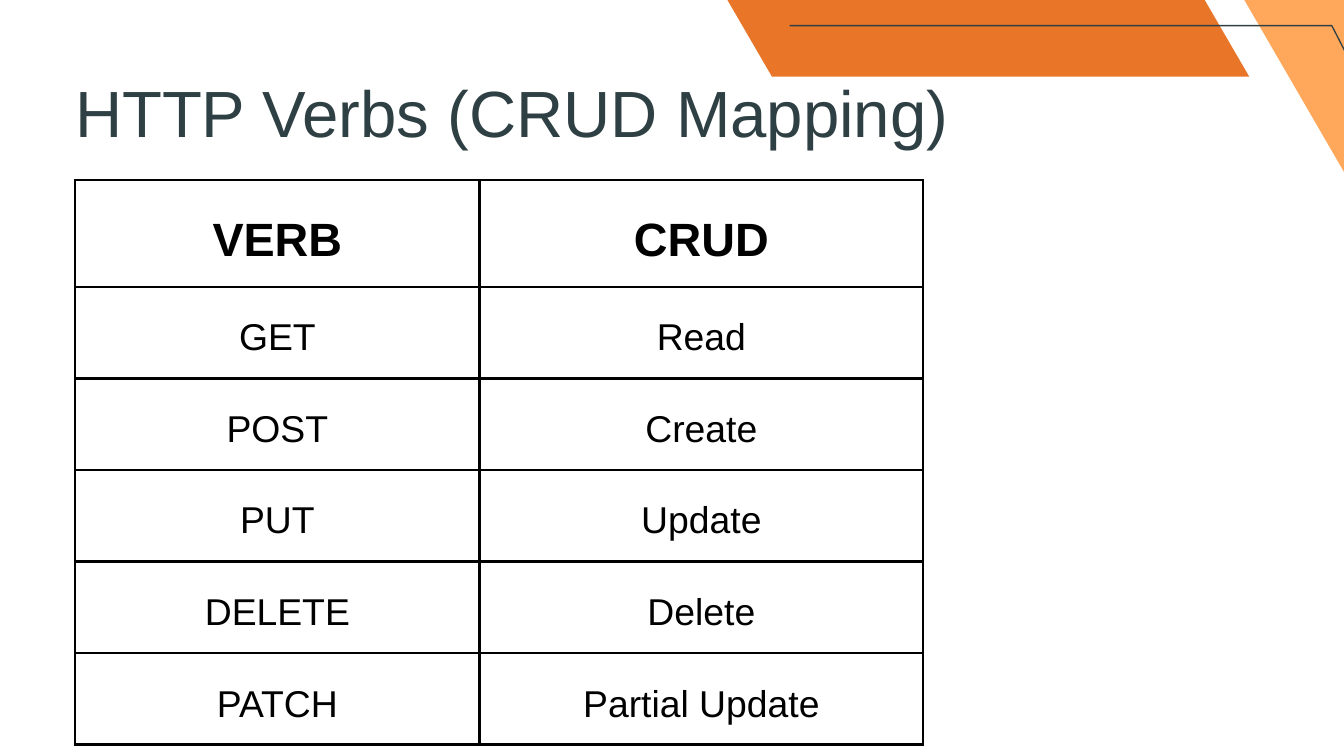
from pptx import Presentation
from pptx.dml.color import RGBColor
from pptx.enum.text import MSO_ANCHOR, MSO_AUTO_SIZE, PP_ALIGN
from pptx.oxml import parse_xml
from pptx.oxml.ns import nsdecls
from pptx.util import Cm, Pt

ORANGE = RGBColor(0xE9, 0x75, 0x29)
LIGHT_ORANGE = RGBColor(0xFF, 0xA8, 0x5C)
SLATE = RGBColor(0x2F, 0x40, 0x44)
BLACK = RGBColor(0, 0, 0)

TITLE = "HTTP Verbs (CRUD Mapping)"
VERBS = [
    ("VERB", "CRUD"),
    ("GET", "Read"),
    ("POST", "Create"),
    ("PUT", "Update"),
    ("DELETE", "Delete"),
    ("PATCH", "Partial Update"),
]

# Corner decoration, in centimetres; it bleeds over the slide's edges
BANDS = [
    (ORANGE, [(26.92, -0.99), (44.96, -0.99), (47.22, 2.9), (29.18, 2.9)]),
    (LIGHT_ORANGE, [(46.46, -0.99), (50.98, -0.99), (55.47, 6.81), (50.98, 6.81)]),
]
ACCENT_LINE = [(29.85, 0.97), (50.34, 0.97), (54.53, 9.13)]

LEFT = Cm(2.84)
TABLE_TOP = Cm(6.81)
COLUMN_WIDTHS = [Cm(15.29), Cm(16.76)]
HEADER_HEIGHT, ROW_HEIGHT = Cm(4.04), Cm(3.46)
CELL_MARGIN = Cm(0.53)

HEADER_FONT = {"name": "Arial", "size": Pt(50), "bold": True}
BODY_FONT = {"name": "Arial", "size": Pt(40), "bold": False}
TITLE_FONT = {"name": "Arial", "size": Pt(70), "bold": False}
MARGINS = ("margin_left", "margin_top", "margin_right", "margin_bottom")


def set_all(target, values):
    for name, value in values.items():
        setattr(target, name, value)


def format_paragraph(paragraph, font, color, spacing, alignment):
    set_all(paragraph, {"line_spacing": spacing, "alignment": alignment})
    set_all(paragraph.font, font)
    paragraph.font.color.rgb = color


def add_outline(slide, points, closed):
    start, *rest = [(Cm(x), Cm(y)) for x, y in points]
    builder = slide.shapes.build_freeform(*start)
    builder.add_line_segments(rest, close=closed)
    outline = builder.convert_to_shape()
    outline.shadow.inherit = False
    return outline


def add_decoration(slide):
    for color, corners in BANDS:
        band = add_outline(slide, corners, closed=True)
        band.fill.solid()
        band.fill.fore_color.rgb = color
        band.line.fill.background()
    accent = add_outline(slide, ACCENT_LINE, closed=False)
    accent.fill.background()
    accent.line.color.rgb = SLATE
    accent.line.width = Pt(1.4)


def add_borders(cell, color, width):
    properties = cell._tc.get_or_add_tcPr()
    for side in ("lnL", "lnR", "lnT", "lnB"):
        properties.append(parse_xml(
            f'<a:{side} {nsdecls("a")} w="{width}"><a:solidFill>'
            f'<a:srgbClr val="{color}"/></a:solidFill></a:{side}>'))


def add_verb_table(slide):
    heights = [HEADER_HEIGHT] + [ROW_HEIGHT] * (len(VERBS) - 1)
    table = slide.shapes.add_table(
        len(VERBS), len(COLUMN_WIDTHS), LEFT, TABLE_TOP,
        sum(COLUMN_WIDTHS), sum(heights)).table
    set_all(table, {"first_row": False, "horz_banding": False})
    for column, width in zip(table.columns, COLUMN_WIDTHS):
        column.width = width
    for r, (labels, height) in enumerate(zip(VERBS, heights)):
        table.rows[r].height = height
        font = BODY_FONT if r else HEADER_FONT
        for c, label in enumerate(labels):
            cell = table.cell(r, c)
            cell.text = label
            set_all(cell, dict.fromkeys(MARGINS, CELL_MARGIN))
            cell.vertical_anchor = MSO_ANCHOR.MIDDLE
            add_borders(cell, BLACK, Pt(3))
            cell.fill.background()
            format_paragraph(cell.text_frame.paragraphs[0], font, BLACK,
                             Pt(56 if r else 70), PP_ALIGN.CENTER)


def add_title(slide):
    title = slide.shapes.title
    set_all(title, {"left": LEFT, "top": Cm(2.74),
                    "width": Cm(42.29), "height": Cm(3.05)})
    frame = title.text_frame
    frame.text = TITLE
    set_all(frame, dict.fromkeys(MARGINS, 0))
    set_all(frame, {"word_wrap": True, "vertical_anchor": MSO_ANCHOR.TOP,
                    "auto_size": MSO_AUTO_SIZE.SHAPE_TO_FIT_TEXT})
    format_paragraph(frame.paragraphs[0], TITLE_FONT, SLATE, Pt(84), PP_ALIGN.LEFT)


def main():
    presentation = Presentation()
    presentation.slide_width = Cm(50.8)
    presentation.slide_height = Cm(28.58)
    slide = presentation.slides.add_slide(presentation.slide_layouts[5])
    add_decoration(slide)
    add_verb_table(slide)
    add_title(slide)
    presentation.save("out.pptx")


if __name__ == "__main__":
    main()
